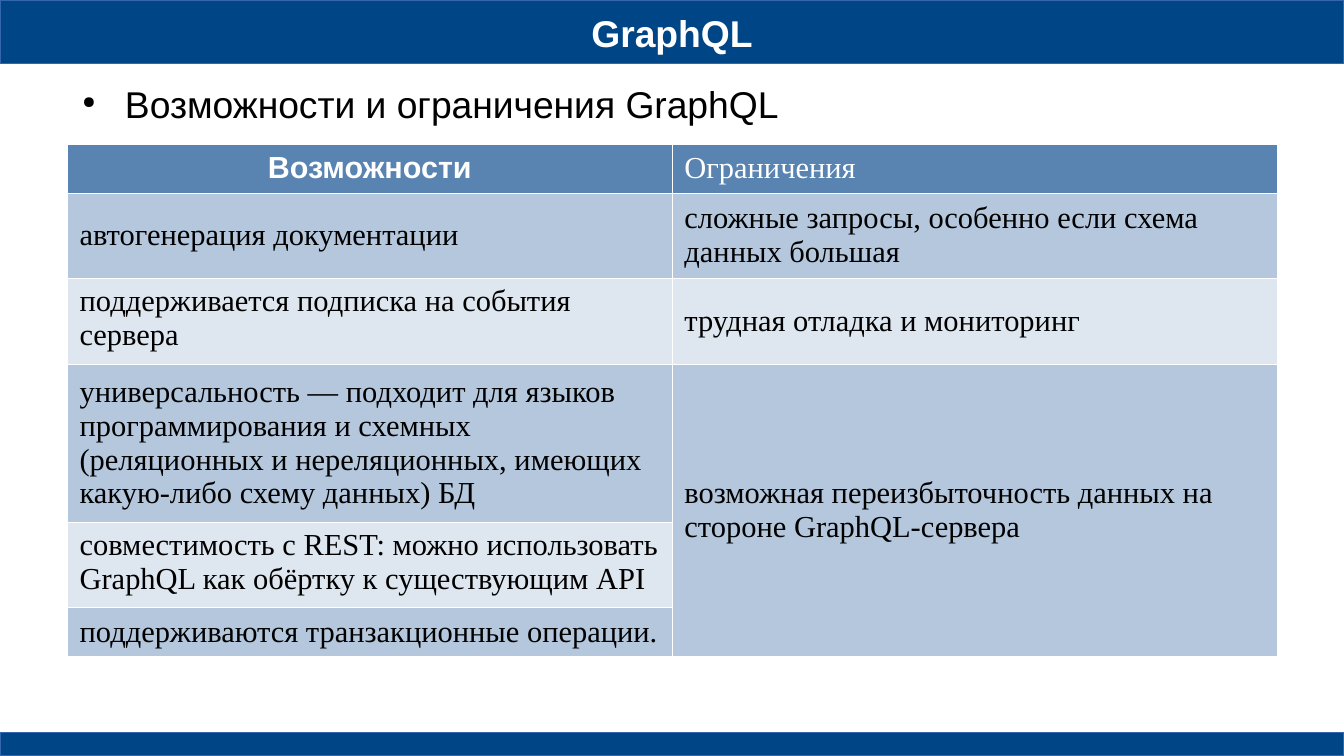
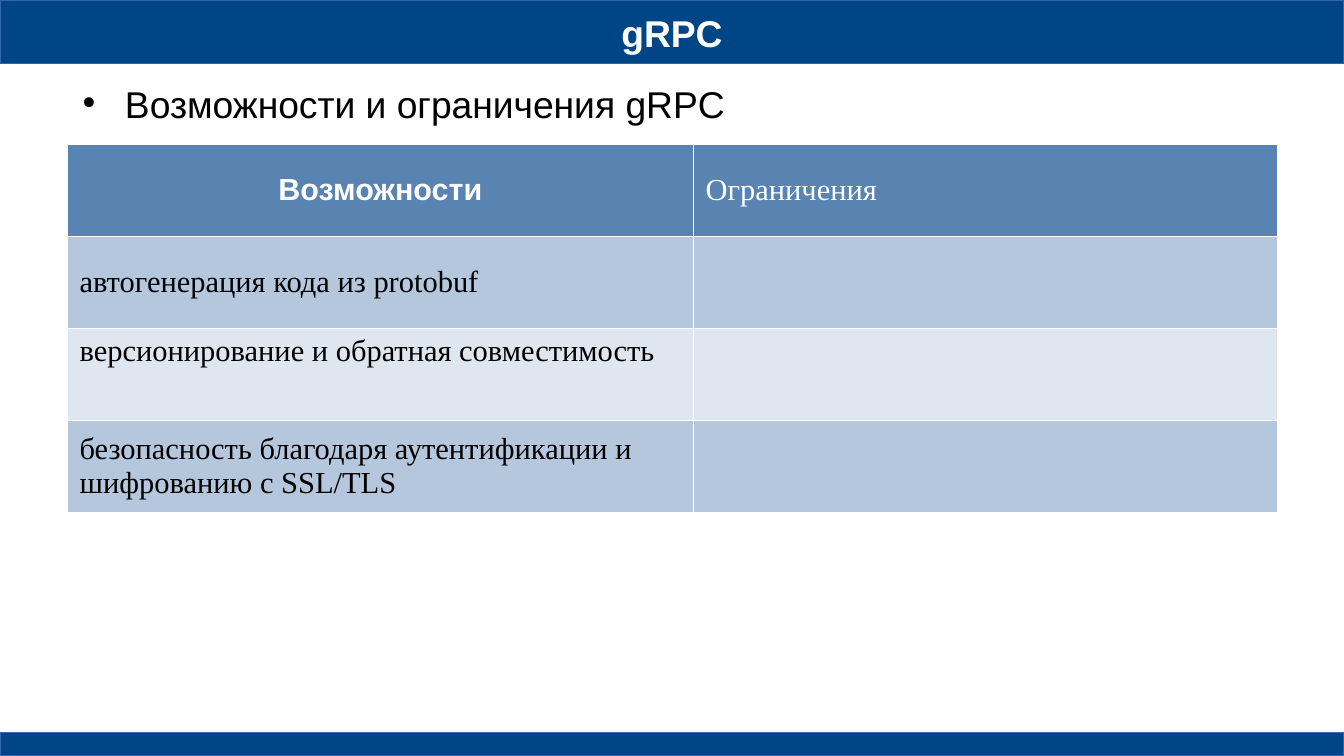
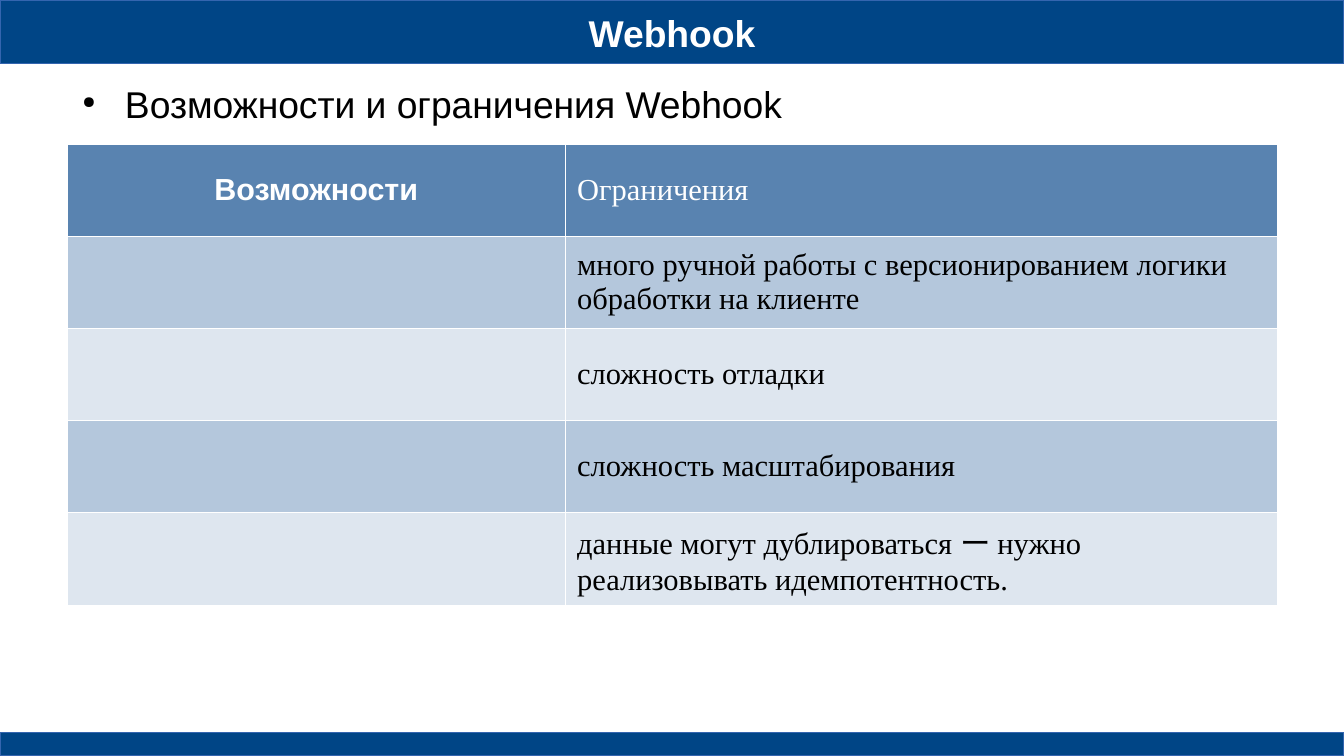
from dataclasses import dataclass

from lxml import etree
from pptx import Presentation
from pptx.dml.color import RGBColor
from pptx.enum.shapes import MSO_SHAPE
from pptx.enum.text import MSO_ANCHOR, PP_ALIGN
from pptx.oxml.ns import qn
from pptx.util import Pt

RECTANGLE = MSO_SHAPE.RECTANGLE
TOP = MSO_ANCHOR.TOP
MIDDLE = MSO_ANCHOR.MIDDLE
LEFT = PP_ALIGN.LEFT
CENTER = PP_ALIGN.CENTER

SLIDE_WIDTH = 793.44
SLIDE_HEIGHT = 446.4
TITLE_HEIGHT = 37.5
FOOTER_HEIGHT = 13.7
CONTENT_LEFT = 39.8
CONTENT_WIDTH = 714.2
SUBTITLE_TOP = 48.2
TABLE_TOP = 85
TEXT_INDENT = 34
BULLET_OFFSET = -25.2
HEADER = ("Возможности", "Ограничения")


@dataclass(frozen=True)
class Theme:
    band: str = "004586"
    band_line: str = "3465AF"
    header: str = "5983B0"
    dark_row: str = "B4C7DC"
    light_row: str = "DEE6EF"
    white: str = "FFFFFF"
    black: str = "000000"
    heading_font: str = "Arial"
    body_font: str = "Times New Roman"
    heading_size: float = 22
    table_size: float = 18
    border_width: float = 0.06
    space_after: float = 10.6


THEME = Theme()


def color(value):
    return RGBColor.from_string(value)


def style_runs(para, font_name, size, font_color, bold=False):
    for run in para.runs:
        run.font.name = font_name
        run.font.size = Pt(size)
        run.font.bold = bold
        run.font.color.rgb = color(font_color)


def add_band(page, top, height):
    band = page.shapes.add_shape(RECTANGLE, 0, Pt(top), Pt(SLIDE_WIDTH), Pt(height))
    band.shadow.inherit = False
    band.fill.solid()
    band.fill.fore_color.rgb = color(THEME.band)
    band.line.color.rgb = color(THEME.band_line)
    band.line.width = Pt(0)


def add_heading(page, text, left, top, width, height, anchor, font_color, bold):
    box = page.shapes.add_textbox(Pt(left), Pt(top), Pt(width), Pt(height))
    frame = box.text_frame
    frame.word_wrap = True
    frame.vertical_anchor = anchor
    frame.margin_left = frame.margin_right = frame.margin_top = frame.margin_bottom = 0
    frame.text = text
    para = frame.paragraphs[0]
    para.space_after = Pt(THEME.space_after)
    style_runs(para, THEME.heading_font, THEME.heading_size, font_color, bold)
    return para


def add_bullet(para):
    properties = para._p.get_or_add_pPr()
    properties.set("marL", str(Pt(TEXT_INDENT)))
    properties.set("indent", str(Pt(BULLET_OFFSET)))
    bullet_color = etree.SubElement(properties, qn("a:buClr"))
    etree.SubElement(bullet_color, qn("a:srgbClr"), val=THEME.black)
    etree.SubElement(properties, qn("a:buSzPct"), val="45000")
    etree.SubElement(properties, qn("a:buChar"), char="●")


def add_borders(cell):
    properties = cell._tc.get_or_add_tcPr()
    for side in ("a:lnL", "a:lnR", "a:lnT", "a:lnB"):
        line = etree.SubElement(properties, qn(side), w=str(Pt(THEME.border_width)))
        fill = etree.SubElement(line, qn("a:solidFill"))
        etree.SubElement(fill, qn("a:srgbClr"), val=THEME.white)


def fill_cell(cell, text, row, column):
    is_header = row == 0
    is_light = not is_header and row % 2 == 0
    is_main_header = is_header and column == 0
    add_borders(cell)
    cell.fill.solid()
    row_fill = THEME.light_row if is_light else THEME.dark_row
    cell.fill.fore_color.rgb = color(THEME.header if is_header else row_fill)
    cell.vertical_anchor = TOP if is_light and column == 0 else MIDDLE
    cell.text_frame.text = text or ""
    para = cell.text_frame.paragraphs[0]
    para.alignment = CENTER if is_main_header else LEFT
    style_runs(
        para,
        THEME.heading_font if is_main_header else THEME.body_font,
        THEME.table_size,
        THEME.white if is_header else THEME.black,
        bold=is_main_header,
    )


def add_comparison(page, rows, first_width, row_height):
    rows = [HEADER, *rows]
    table = page.shapes.add_table(
        len(rows), len(HEADER), Pt(CONTENT_LEFT), Pt(TABLE_TOP),
        Pt(CONTENT_WIDTH), Pt(row_height * len(rows)),
    ).table
    table.first_row = False
    table.horz_banding = False
    table.columns[0].width = Pt(first_width)
    table.columns[1].width = Pt(CONTENT_WIDTH - first_width)
    for row, texts in enumerate(rows):
        table.rows[row].height = Pt(row_height)
        for column, text in enumerate(texts):
            fill_cell(table.cell(row, column), text, row, column)
    spanned = [row for row, texts in enumerate(rows) if texts[1] is None]
    if spanned:
        table.cell(spanned[0] - 1, 1).merge(table.cell(spanned[-1], 1))


def add_page(deck, name, rows, first_width, row_height):
    page = deck.slides.add_slide(deck.slide_layouts[6])
    add_band(page, 0, TITLE_HEIGHT)
    add_band(page, SLIDE_HEIGHT - FOOTER_HEIGHT, FOOTER_HEIGHT)
    title = add_heading(
        page, name, 0, 0, SLIDE_WIDTH, 38.2, MIDDLE, THEME.white, True
    )
    title.alignment = CENTER
    subtitle = add_heading(
        page, f"Возможности и ограничения {name}", CONTENT_LEFT, SUBTITLE_TOP,
        CONTENT_WIDTH, TABLE_TOP - SUBTITLE_TOP, TOP, THEME.black, False,
    )
    add_bullet(subtitle)
    add_comparison(page, rows, first_width, row_height)


def main():
    deck = Presentation()
    deck.slide_width = Pt(SLIDE_WIDTH)
    deck.slide_height = Pt(SLIDE_HEIGHT)
    add_page(deck, "GraphQL", [
        ("автогенерация документации",
         "сложные запросы, особенно если схема данных большая"),
        ("поддерживается подписка на события сервера",
         "трудная отладка и мониторинг"),
        ("универсальность — подходит для языков программирования и схемных "
         "(реляционных и нереляционных, имеющих какую-либо схему данных) БД",
         "возможная переизбыточность данных на стороне GraphQL-сервера"),
        ("совместимость с REST: можно использовать GraphQL как обёртку "
         "к существующим API", None),
        ("поддерживаются транзакционные операции.", None),
    ], first_width=CONTENT_WIDTH / 2, row_height=27.2)
    add_page(deck, "gRPC", [
        ("автогенерация кода из protobuf", ""),
        ("версионирование и обратная совместимость", ""),
        ("безопасность благодаря аутентификации и шифрованию с SSL/TLS", ""),
    ], first_width=369.6, row_height=54.4)
    add_page(deck, "Webhook", [
        ("", "много ручной работы с версионированием логики обработки на клиенте"),
        ("", "сложность отладки"),
        ("", "сложность масштабирования"),
        ("", "данные могут дублироваться ー нужно реализовывать идемпотентность."),
    ], first_width=293.8, row_height=54.4)
    deck.save("out.pptx")


if __name__ == "__main__":
    main()
